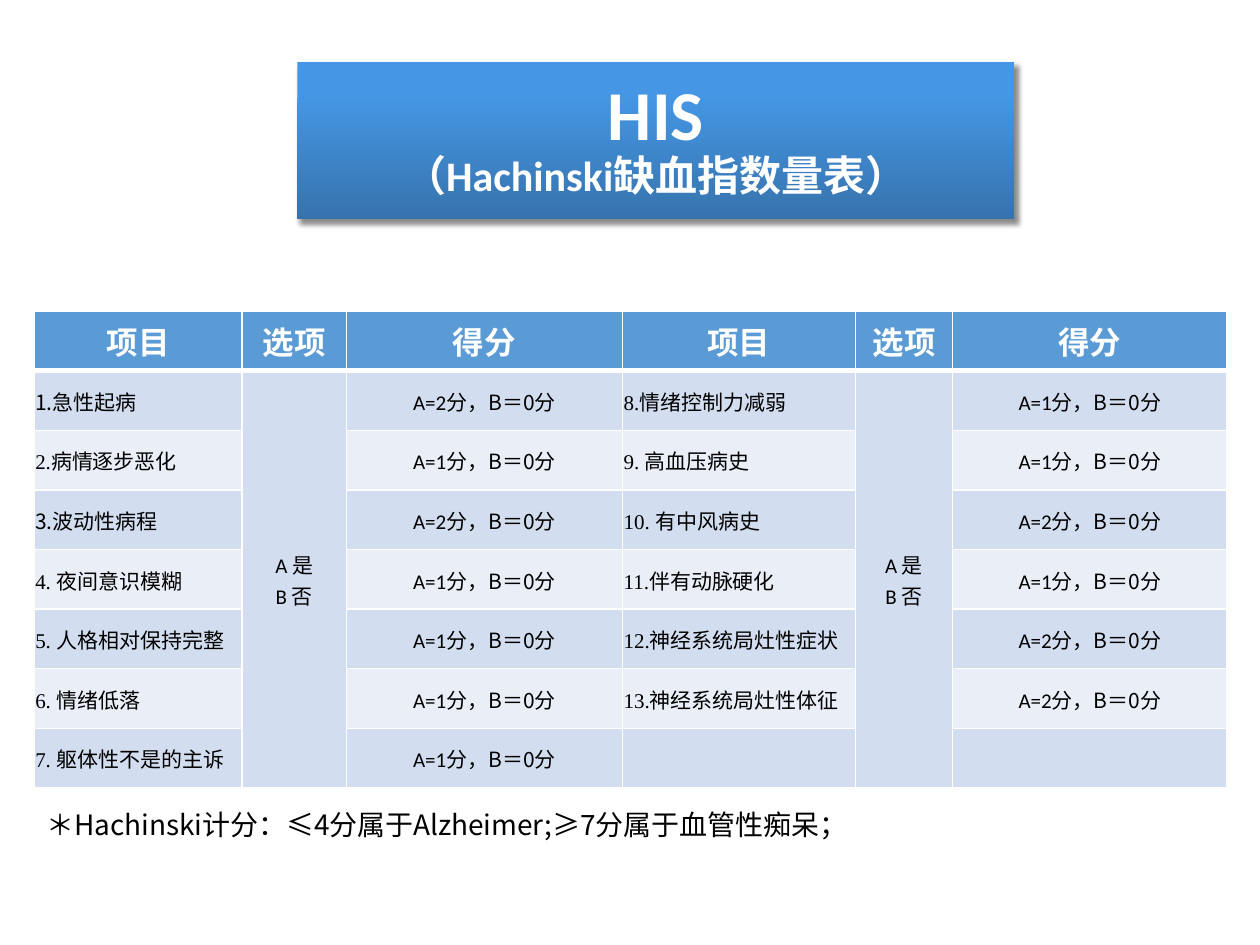
import pptx
import pptx.dml.color
import pptx.enum.shapes
import pptx.enum.text
import pptx.oxml
import pptx.oxml.ns
import pptx.util
from pptx.util import Inches

LATIN, SERIF, CJK = "Calibri", "Times New Roman", "Noto Sans CJK SC"
ALIGN = pptx.enum.text.PP_ALIGN
MIDDLE = pptx.enum.text.MSO_ANCHOR.MIDDLE

COLUMNS = [1.65, 0.83, 2.19, 1.85, 0.77, 2.18]
ROW_HEIGHT = 0.473
HEADERS = ["项目", "选项", "得分"] * 2
# Number, its font, item text, points for answer A
LEFT_ITEMS = [
    ("1.", CJK, "急性起病", 2),
    ("2.", SERIF, "病情逐步恶化", 1),
    ("3.", CJK, "波动性病程", 2),
    ("4. ", SERIF, "夜间意识模糊", 1),
    ("5. ", SERIF, "人格相对保持完整", 1),
    ("6. ", SERIF, "情绪低落", 1),
    ("7. ", SERIF, "躯体性不是的主诉", 1),
]
RIGHT_ITEMS = [
    ("8.", SERIF, "情绪控制力减弱", 1),
    ("9. ", SERIF, "高血压病史", 1),
    ("10. ", SERIF, "有中风病史", 2),
    ("11.", SERIF, "伴有动脉硬化", 1),
    ("12.", SERIF, "神经系统局灶性症状", 2),
    ("13.", SERIF, "神经系统局灶性体征", 2),
]


def rgb(value):
    return pptx.dml.color.RGBColor.from_string(value)


def xml(tag, body, attrs=""):
    """Build one DrawingML element."""
    ns = pptx.oxml.ns.nsdecls("a")
    return pptx.oxml.parse_xml(f"<a:{tag} {ns} {attrs}>{body}</a:{tag}>")


class Deck:
    """Holds the style and the current slide."""

    body = {"size": pptx.util.Pt(12), "bold": False}
    header = {"size": pptx.util.Pt(18), "bold": True}
    header_fill, bands = "5B9BD5", ("D2DEEF", "EAEFF7")
    white, black = "FFFFFF", "000000"

    def __init__(self, prs):
        self.s = prs.slides.add_slide(prs.slide_layouts[6])

    def run(self, p, text, font, color, style):
        r = p.add_run()
        r.text = text
        for name, value in {**style, "name": font}.items():
            setattr(r.font, name, value)
        r.font.color.rgb = rgb(color)
        r.font._element.append(xml("ea", "", f'typeface="{CJK}"'))

    def title(self, box, lines):
        sp = self.s.shapes.add_shape(
            pptx.enum.shapes.MSO_SHAPE.RECTANGLE, *map(Inches, box))
        sp.line.fill.background()
        sp.fill.gradient()
        sp.fill.gradient_angle = 270
        stops = zip(sp.fill.gradient_stops, [(0.2, "4597E5"), (1, "3673AD")])
        for stop, (position, color) in stops:
            stop.position = position
            stop.color.rgb = rgb(color)
        sp._element.spPr.append(xml(
            "effectLst",
            '<a:outerShdw blurRad="38100" dist="38100" dir="3600000">'
            '<a:srgbClr val="000000"><a:alpha val="45000"/></a:srgbClr>'
            "</a:outerShdw>"))
        tf = sp.text_frame
        tf.word_wrap, tf.vertical_anchor = True, MIDDLE
        p = tf.paragraphs[0]
        p.alignment, p.line_spacing = ALIGN.CENTER, 0.9
        for i, (text, size) in enumerate(lines):
            if i:
                p.add_line_break()
            style = {"size": pptx.util.Pt(size), "bold": True}
            self.run(p, text, LATIN, self.white, style)

    def note(self, box, text):
        sp = self.s.shapes.add_textbox(*map(Inches, box))
        tf = sp.text_frame
        tf.word_wrap, tf.vertical_anchor = True, MIDDLE
        p = tf.paragraphs[0]
        p.line_spacing = 0.9
        self.run(p, text, CJK, self.black, {"size": pptx.util.Pt(16)})

    def table(self, left, top, columns, rows, row_height):
        frame = self.s.shapes.add_table(
            rows, len(columns), Inches(left), Inches(top),
            Inches(sum(columns)), Inches(row_height * rows))
        table = frame.table
        for column, width in zip(table.columns, columns):
            column.width = Inches(width)
        for i in range(rows):
            table.rows[i].height = Inches(row_height)
            for j in range(len(columns)):
                self.style_cell(table.cell(i, j), i)
        return table

    def style_cell(self, cell, row):
        cell.vertical_anchor = MIDDLE
        if row:
            cell.margin_left = cell.margin_right = Inches(0.01)
            cell.margin_top, cell.margin_bottom = Inches(0.01), 0
        tcPr = cell._tc.get_or_add_tcPr()
        line = f'<a:solidFill><a:srgbClr val="{self.white}"/></a:solidFill>'
        for side in "LRTB":
            thick = (row, side) in [(0, "B"), (1, "T")]
            width = pptx.util.Pt(3 if thick else 1)
            tcPr.append(xml(f"ln{side}", line, f'w="{width}"'))
        cell.fill.solid()
        color = self.bands[(row - 1) % 2] if row else self.header_fill
        cell.fill.fore_color.rgb = rgb(color)

    def cell_text(self, cell, paragraphs, align=ALIGN.CENTER, color=black,
                  style=body):
        """Fill a cell; each paragraph is a list of (text, font) runs."""
        tf = cell.text_frame
        for i, runs in enumerate(paragraphs):
            p = tf.add_paragraph() if i else tf.paragraphs[0]
            p.alignment = align
            for text, font in runs:
                self.run(p, text, font, color, style)


def main():
    prs = pptx.Presentation()
    prs.slide_width, prs.slide_height = Inches(10), Inches(7.5)
    deck = Deck(prs)
    deck.title((2.36, 0.49, 5.69, 1.25),
               [("HIS", 40), ("（Hachinski缺血指数量表）", 24)])
    deck.note((0.27, 6.36, 9.47, 0.4),
              "＊Hachinski计分：≤4分属于Alzheimer;≥7分属于血管性痴呆；")

    table = deck.table(0.27, 2.47, COLUMNS, len(LEFT_ITEMS) + 1, ROW_HEIGHT)
    for j, label in enumerate(HEADERS):
        deck.cell_text(table.cell(0, j), [[(label, LATIN)]],
                       color=deck.white, style=deck.header)
    for first, items in ((0, LEFT_ITEMS), (3, RIGHT_ITEMS)):
        options = table.cell(1, first + 1)
        options.merge(table.cell(len(LEFT_ITEMS), first + 1))
        deck.cell_text(options, [[("A 是", LATIN)], [("B 否", LATIN)]])
        for i, (number, font, item, points) in enumerate(items, 1):
            deck.cell_text(table.cell(i, first),
                           [[(number, font), (item, CJK)]],
                           align=ALIGN.JUSTIFY)
            deck.cell_text(table.cell(i, first + 2),
                           [[(f"A={points}", LATIN), ("分，B＝0分", CJK)]])
    prs.save("out.pptx")


if __name__ == "__main__":
    main()
